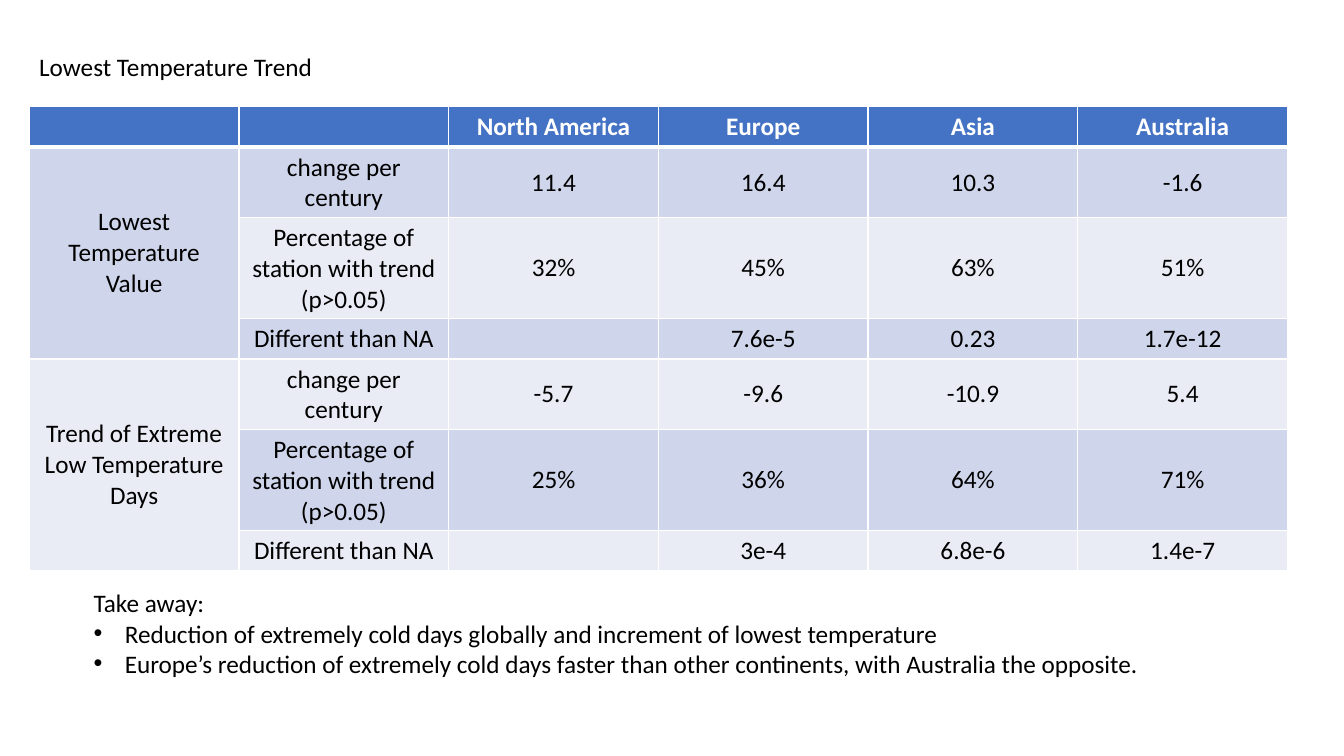
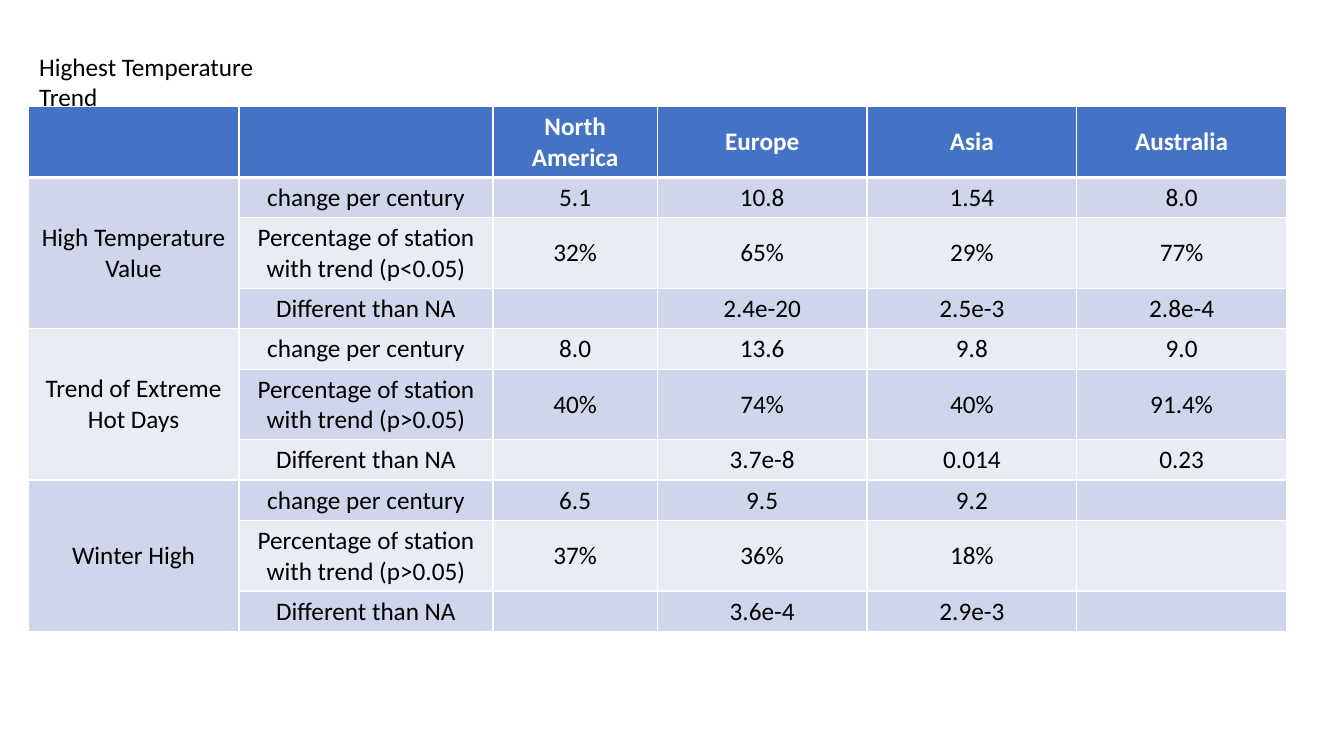
from lxml.etree import SubElement
from pptx import Presentation
from pptx.dml.color import RGBColor
from pptx.enum.text import MSO_ANCHOR as Anchor, MSO_AUTO_SIZE as Fit, PP_ALIGN as Align
from pptx.oxml.ns import qn
from pptx.util import Inches, Pt

FONT, SIZE = "Calibri", 18
BLACK, WHITE, BLUE = "000000", "FFFFFF", "4472C4"
BANDS = ["CFD5EA", "E9EBF5"]
HEADS = ["", "", "North America", "Europe", "Asia", "Australia"]
ROW = 0.4

LOW = [
    ("Lowest Temperature Value", ">", [
        ["11.4", "16.4", "10.3", "-1.6"],
        ["32%", "45%", "63%", "51%"],
        ["", "7.6e-5", "0.23", "1.7e-12"]]),
    ("Trend of Extreme Low Temperature Days", ">", [
        ["-5.7", "-9.6", "-10.9", "5.4"],
        ["25%", "36%", "64%", "71%"],
        ["", "3e-4", "6.8e-6", "1.4e-7"]]),
]
HIGH = [
    ("High Temperature Value", "<", [
        ["5.1", "10.8", "1.54", "8.0"],
        ["32%", "65%", "29%", "77%"],
        ["", "2.4e-20", "2.5e-3", "2.8e-4"]]),
    ("Trend of Extreme Hot Days", ">", [
        ["8.0", "13.6", "9.8", "9.0"],
        ["40%", "74%", "40%", "91.4%"],
        ["", "3.7e-8", "0.014", "0.23"]]),
    ("Winter High", ">", [
        ["6.5", "9.5", "9.2", ""],
        ["37%", "36%", "18%", ""],
        ["", "3.6e-4", "2.9e-3", ""]]),
]
NOTES = [
    "Reduction of extremely cold days globally and increment of lowest temperature",
    "Europe’s reduction of extremely cold days faster than other continents, "
    "with Australia the opposite.",
]


def color(code):
    """Turn a hex string into a colour."""
    return RGBColor.from_string(code)


def write(para, text, tone=BLACK, bold=False, align=None, bullet=False):
    """Put formatted text in a paragraph."""
    para.alignment = align
    font = para.font
    if text:
        run = para.add_run()
        run.text = text
        font = run.font
    font.name, font.size, font.bold = FONT, Pt(SIZE), bold
    font.color.rgb = color(tone)
    if bullet:
        props = para._p.get_or_add_pPr()
        props.set("marL", str(Inches(0.31)))
        props.set("indent", str(-Inches(0.31)))
        mark = SubElement(props, qn("a:buFont"))
        mark.set("typeface", "Arial")
        SubElement(props, qn("a:buChar")).set("char", "•")


def add_box(slide, box, wrap=True):
    """Add a text box and return its frame."""
    frame = slide.shapes.add_textbox(*map(Inches, box)).text_frame
    frame.word_wrap = wrap
    frame.auto_size = Fit.SHAPE_TO_FIT_TEXT
    return frame


def add_edge(cell, side, width):
    """Draw one white cell border."""
    line = SubElement(cell._tc.get_or_add_tcPr(), qn("a:ln" + side))
    line.set("w", str(Pt(width)))
    fill = SubElement(line, qn("a:solidFill"))
    SubElement(fill, qn("a:srgbClr")).set("val", WHITE)


def style_cell(cell, text, row):
    """Fill, frame and label a cell by its row."""
    head = row == 0
    for side in "LRTB":
        thick = (head and side == "B") or (row == 1 and side == "T")
        add_edge(cell, side, 3 if thick else 1)
    cell.fill.solid()
    cell.fill.fore_color.rgb = color(BLUE if head else BANDS[(row - 1) % 2])
    cell.vertical_anchor = Anchor.MIDDLE
    write(cell.text_frame.paragraphs[0], text, align=Align.CENTER,
          tone=WHITE if head else BLACK, bold=head)


def add_grid(slide, left, top, widths, groups):
    """Build the trend table from its groups of three rows."""
    rows = [HEADS]
    for name, sign, stats in groups:
        labels = ["change per century",
                  f"Percentage of station with trend (p{sign}0.05)",
                  "Different than NA"]
        for i, (label, values) in enumerate(zip(labels, stats)):
            rows.append(["" if i else name, label, *values])
    box = (left, top, sum(widths), ROW * len(rows))
    table = slide.shapes.add_table(len(rows), len(widths), *map(Inches, box)).table
    for col, width in zip(table.columns, widths):
        col.width = Inches(width)
    for r, texts in enumerate(rows):
        table.rows[r].height = Inches(ROW)
        for c, text in enumerate(texts):
            style_cell(table.cell(r, c), text, r)
    for r in range(1, len(rows), 3):
        table.cell(r, 0).merge(table.cell(r + 2, 0))


def add_notes(slide, box):
    """Add the bulleted take-away text."""
    frame = add_box(slide, box)
    write(frame.paragraphs[0], "Take away:")
    for note in NOTES:
        write(frame.add_paragraph(), note, bullet=True)


def add_trend(deck, title, left, widths, groups):
    """Add a slide with a title and a trend table."""
    slide = deck.slides.add_slide(deck.slide_layouts[6])
    frame = add_box(slide, (0.29, 0.46, 2.95, 0.4), wrap=False)
    write(frame.paragraphs[0], title)
    add_grid(slide, left, 1.06, widths, groups)
    return slide


def main():
    """Build and save the deck."""
    deck = Presentation()
    deck.slide_width, deck.slide_height = Inches(13.33), Inches(7.5)
    low = add_trend(deck, "Lowest Temperature Trend", 0.29, [2.08] * 6, LOW)
    add_notes(low, (0.83, 5.78, 11.1, 1.31))
    add_trend(deck, "Highest Temperature Trend", 0.28,
              [2.09, 2.52, 1.63] + [2.08] * 3, HIGH)
    deck.save("out.pptx")


if __name__ == "__main__":
    main()
